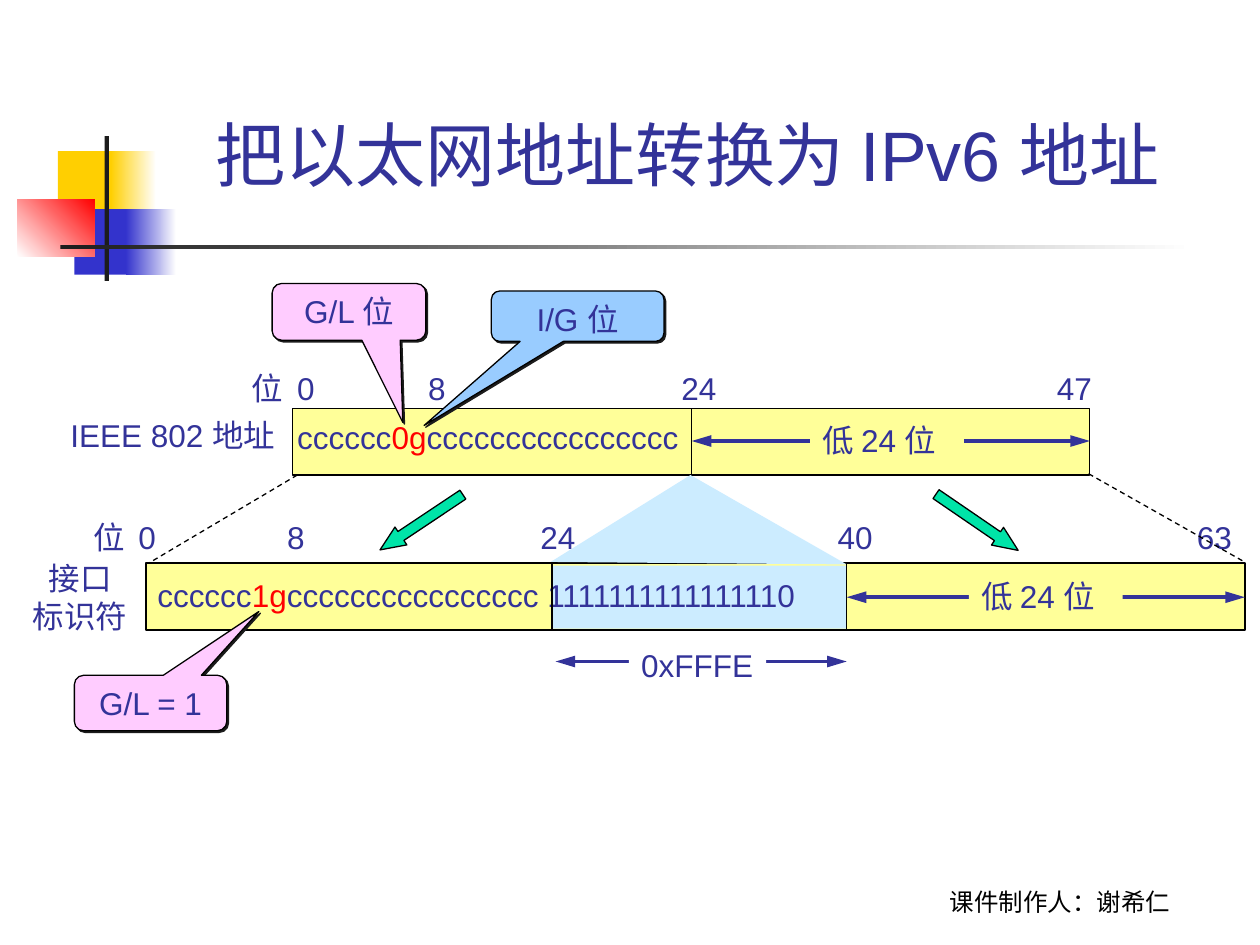
from lxml.etree import SubElement
from pptx import Presentation
from pptx.dml.color import RGBColor
from pptx.enum.dml import MSO_LINE
from pptx.enum.shapes import MSO_CONNECTOR, MSO_SHAPE
from pptx.enum.text import MSO_ANCHOR, MSO_AUTO_SIZE, PP_ALIGN
from pptx.oxml.ns import qn
from pptx.util import Inches, Pt

SLIDE_W, SLIDE_H = Inches(10), Inches(7.5)
COLUMNS, ROWS = 100, 75

INK, BLACK, DARK, WHITE = "333399", "000000", "1C1C1C", "FFFFFF"
YELLOW, SKY, PINK, BLUE = "FFFF99", "CCECFF", "FFCCFF", "99CCFF"
GREEN, RED, GOLD, NAVY = "00E4A8", "FF0000", "FFCF01", "3333CC"


def col(n):
    return round(SLIDE_W * n / COLUMNS)


def row(n):
    return round(SLIDE_H * n / ROWS)


def place(x, y, w, h):
    return col(x), row(y), col(w), row(h)


def rgb(code):
    return RGBColor.from_string(code)


def add_block(slide, area, fill, line=None, kind=MSO_SHAPE.RECTANGLE):
    block = slide.shapes.add_shape(kind, *place(*area))
    block.shadow.inherit = False
    block.fill.solid()
    block.fill.fore_color.rgb = rgb(fill)
    if line:
        block.line.color.rgb = rgb(BLACK)
        block.line.width = Pt(line)
    else:
        block.line.fill.background()
    return block


def add_fade(slide, area, start, end=WHITE, angle=0):
    block = add_block(slide, area, start)
    block.fill.gradient()
    block.fill.gradient_angle = angle
    for stop, color in zip(block.fill.gradient_stops, (start, end)):
        stop.color.rgb = rgb(color)


def style(paragraph, size=18, color=INK, font="Arial", align=PP_ALIGN.LEFT):
    paragraph.alignment = align
    for run in paragraph.runs:
        run.font.size = Pt(size)
        run.font.name = font
        run.font.color.rgb = rgb(color)


def add_label(slide, area, text, fill=None, wrap=False, anchor=MSO_ANCHOR.TOP, **look):
    label = slide.shapes.add_textbox(*place(*area))
    if fill:
        label.fill.solid()
        label.fill.fore_color.rgb = rgb(fill)
    frame = label.text_frame
    frame.text = text
    frame.word_wrap = wrap
    frame.auto_size = MSO_AUTO_SIZE.NONE if wrap else MSO_AUTO_SIZE.SHAPE_TO_FIT_TEXT
    frame.vertical_anchor = anchor
    for paragraph in frame.paragraphs:
        style(paragraph, **look)
    return label


def add_address_bits(slide, area, *pieces):
    """Bit string whose second piece is highlighted."""
    paragraph = add_label(slide, area, "").text_frame.paragraphs[0]
    for piece in pieces:
        paragraph.add_run().text = piece
    style(paragraph)
    paragraph.runs[1].font.color.rgb = rgb(RED)


def add_bit_scale(slide, area, stops):
    """Bit numbers set at tab stops, given in columns from the text edge."""
    text = "\t".join(["位", *stops])
    scale = add_label(slide, area, text, wrap=True)
    properties = scale.text_frame.paragraphs[0]._p.get_or_add_pPr()
    tabs = SubElement(properties, qn("a:tabLst"))
    for position in stops.values():
        SubElement(tabs, qn("a:tab"), pos=str(col(position)), algn="l")


def add_line(slide, start, end, color=BLACK, width=0.75, dashed=False, arrows=False):
    (x1, y1), (x2, y2) = start, end
    line = slide.shapes.add_connector(
        MSO_CONNECTOR.STRAIGHT, col(x1), row(y1), col(x2), row(y2))
    line.line.color.rgb = rgb(color)
    line.line.width = Pt(width)
    if dashed:
        line.line.dash_style = MSO_LINE.DASH
    if arrows:
        outline = line.line._get_or_add_ln()
        for end_name in ("a:headEnd", "a:tailEnd"):
            SubElement(outline, qn(end_name), type="triangle", w="med", len="lg")
    SubElement(line._element.spPr, qn("a:effectLst"))


def add_span(slide, left, right, y, text, label_area, fill):
    add_line(slide, (left, y), (right, y), INK, 2.25, arrows=True)
    add_label(slide, label_area, text, fill)


def add_callout(slide, area, text, fill, tip):
    callout = add_block(slide, area, fill, 0.75, MSO_SHAPE.ROUNDED_RECTANGULAR_CALLOUT)
    callout.adjustments[0], callout.adjustments[1] = tip
    effects = callout._element.spPr.find(qn("a:effectLst"))
    shadow = SubElement(effects, qn("a:outerShdw"), blurRad="0",
                        dist=str(Pt(1.4)), dir="2700000", algn="ctr", rotWithShape="0")
    SubElement(shadow, qn("a:srgbClr"), val=DARK)
    frame = callout.text_frame
    frame.text = text
    frame.vertical_anchor = MSO_ANCHOR.TOP
    style(frame.paragraphs[0], align=PP_ALIGN.CENTER)


def add_block_arrow(slide, area, rotation):
    arrow = add_block(slide, area, GREEN, 0.75, MSO_SHAPE.DOWN_ARROW)
    arrow.adjustments[1] = 1.17
    arrow.rotation = rotation


def add_wedge(slide, points):
    first, *others = [(col(x), row(y)) for x, y in points]
    builder = slide.shapes.build_freeform(*first)
    builder.add_line_segments(others, close=True)
    wedge = builder.convert_to_shape()
    wedge.shadow.inherit = False
    wedge.fill.solid()
    wedge.fill.fore_color.rgb = rgb(SKY)
    wedge.line.fill.background()


def add_decoration(slide):
    add_block(slide, (4.6, 12, 4.8, 5.2), GOLD)
    add_fade(slide, (8.8, 12, 3.6, 5.2), GOLD)
    add_block(slide, (5.9, 16.6, 4.6, 5.2), NAVY)
    add_fade(slide, (10, 16.6, 4, 5.2), NAVY)
    add_fade(slide, (1.4, 15.8, 6.1, 4.6), WHITE, RED, angle=45)
    add_block(slide, (8.3, 10.8, 0.35, 11.5), DARK)
    add_fade(slide, (4.8, 19.45, 90, 0.35), DARK)


def main():
    deck = Presentation()
    deck.slide_width, deck.slide_height = SLIDE_W, SLIDE_H
    slide = deck.slides.add_slide(deck.slide_layouts[6])

    # Frame of the slide: ornament, title, author
    add_decoration(slide)
    add_label(slide, (12.6, 6.8, 85.2, 9.2), "把以太网地址转换为 IPv6 地址 ", wrap=True,
              anchor=MSO_ANCHOR.BOTTOM, size=40, align=PP_ALIGN.CENTER)
    add_label(slide, (68.3, 68.2, 31.7, 5), "课件制作人：谢希仁", wrap=True,
              anchor=MSO_ANCHOR.BOTTOM, size=14, color=BLACK, font="Karla",
              align=PP_ALIGN.CENTER)

    # Address bars and the inserted 16 bits
    add_block(slide, (23.2, 32.4, 63.3, 5.3), YELLOW, 0.75)
    add_block(slide, (11.6, 44.7, 87.2, 5.3), YELLOW, 1.5)
    add_block(slide, (43.9, 44.9, 23.3, 5), SKY)
    add_wedge(slide, [(54.8, 37.7), (43.7, 44.6), (67.2, 44.8)])
    add_address_bits(slide, (22.6, 32.7, 32.3, 4), "cccccc", "0g", "c" * 16)
    add_address_bits(slide, (11.5, 45.2, 55.2, 4),
                     "cccccc", "1g", "c" * 16 + " 1111111111111110")
    for x, top in ((54.9, 32.4), (43.8, 44.7), (67.2, 44.7)):
        add_line(slide, (x, top), (x, top + 5.3))

    # Field widths
    add_span(slide, 54.9, 86.5, 35, "低 24 位", (64.3, 32.9, 12.2, 4), YELLOW)
    add_span(slide, 67.2, 98.8, 47.4, "低 24 位", (76.9, 45.3, 12.2, 4), YELLOW)
    add_span(slide, 44.1, 67.2, 52.5, "0xFFFE", (49.9, 50.8, 10.9, 4), WHITE)

    # Bit numbers and row names
    add_bit_scale(slide, (19, 28.8, 68.8, 4),
                  {"0": 3.6, "8": 14, "24": 34.1, "47": 63.9})
    add_bit_scale(slide, (6.4, 40.6, 92.4, 4),
                  {"0": 3.6, "8": 15.4, "24": 35.5, "40": 59.1, "63": 87.6})
    add_label(slide, (4.6, 32.5, 18.8, 4), "IEEE 802 地址")
    add_label(slide, (1.6, 43.9, 9.5, 7), "接口\n标识符", align=PP_ALIGN.CENTER)

    # Mapping between the two bars
    add_line(slide, (86.4, 37.6), (98.6, 44.5), dashed=True)
    add_line(slide, (23.6, 37.7), (11.8, 44.7), dashed=True)
    add_block_arrow(slide, (32.6, 37.5, 1.7, 7.9), 56.3)
    add_block_arrow(slide, (76.7, 37.5, 1.7, 7.9), 304.4)

    # Callouts for the special bits
    add_callout(slide, (39, 23.1, 13.7, 4), "I/G 位", BLUE, (-0.89, 2.17))
    add_callout(slide, (21.6, 22.5, 12.2, 4.5), "G/L 位", PINK, (0.35, 1.95))
    add_callout(slide, (5.9, 53.6, 12.1, 4.4), "G/L = 1", PINK, (0.71, -1.65))

    deck.save("out.pptx")


if __name__ == "__main__":
    main()
